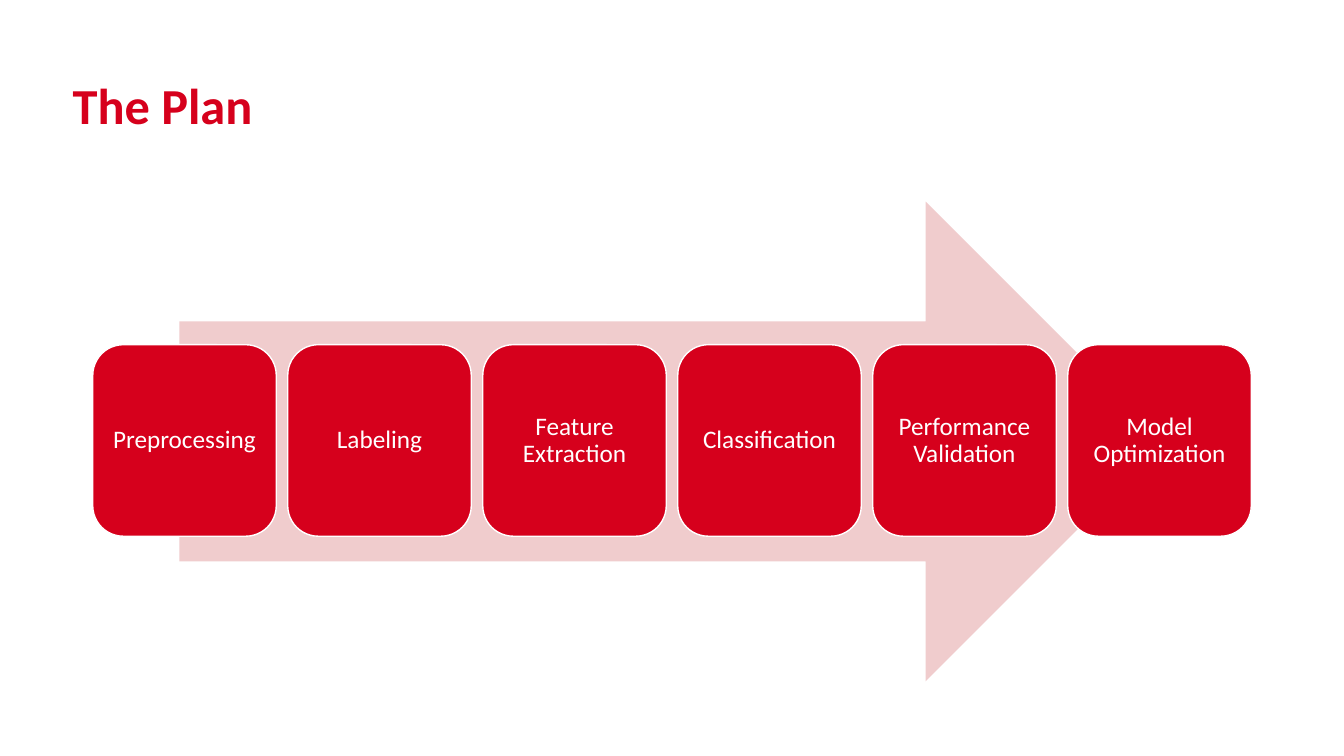
from pptx import Presentation
from pptx.dml.color import RGBColor
from pptx.enum.shapes import MSO_SHAPE
from pptx.enum.text import MSO_ANCHOR, MSO_AUTO_SIZE, PP_ALIGN
from pptx.util import Inches, Pt

RED = RGBColor(0xD6, 0x00, 0x1C)
PINK = RGBColor(0xF0, 0xCC, 0xCD)
WHITE = RGBColor(0xFF, 0xFF, 0xFF)

STEPS = [
    "Preprocessing",
    "Labeling",
    "Feature Extraction",
    "Classification",
    "Performance Validation",
    "Model Optimization",
]
STEP_LEFT = 0.92
STEP_PITCH = 1.934


def format_text(tf, text, size, color, align, spacing, bold=False):
    tf.text = text
    tf.word_wrap = True
    tf.auto_size = MSO_AUTO_SIZE.NONE
    tf.vertical_anchor = MSO_ANCHOR.MIDDLE
    p = tf.paragraphs[0]
    p.alignment = align
    p.line_spacing = spacing
    p.font.name = "Calibri"
    p.font.size = Pt(size)
    p.font.bold = bold
    p.font.color.rgb = color


def set_title(slide, text):
    sp = slide.shapes.title
    sp.left, sp.top = Inches(0.62), Inches(0.51)
    sp.width, sp.height = Inches(10.63), Inches(1.13)
    format_text(sp.text_frame, text, 36, RED, PP_ALIGN.LEFT, Pt(38), bold=True)


def add_filled(slide, kind, left, top, width, height, color):
    sp = slide.shapes.add_shape(
        kind, Inches(left), Inches(top), Inches(width), Inches(height)
    )
    sp.shadow.inherit = False
    sp.fill.solid()
    sp.fill.fore_color.rgb = color
    sp.line.fill.background()
    return sp


def add_step(slide, left, text):
    sp = add_filled(slide, MSO_SHAPE.ROUNDED_RECTANGLE, left, 3.42, 1.82, 1.9, RED)
    sp.line.color.rgb = WHITE
    sp.line.width = Pt(1)
    tf = sp.text_frame
    tf.margin_left = tf.margin_right = Inches(0.07)
    tf.margin_top = tf.margin_bottom = Inches(0.07)
    format_text(tf, text, 18, WHITE, PP_ALIGN.CENTER, 0.9)


def main():
    prs = Presentation()
    prs.slide_width, prs.slide_height = Inches(13.33), Inches(7.5)
    slide = prs.slides.add_slide(prs.slide_layouts[5])
    set_title(slide, "The Plan")
    add_filled(slide, MSO_SHAPE.RIGHT_ARROW, 1.78, 2, 9.78, 4.76, PINK)
    for i, step in enumerate(STEPS):
        add_step(slide, STEP_LEFT + i * STEP_PITCH, step)
    prs.save("out.pptx")


if __name__ == "__main__":
    main()
